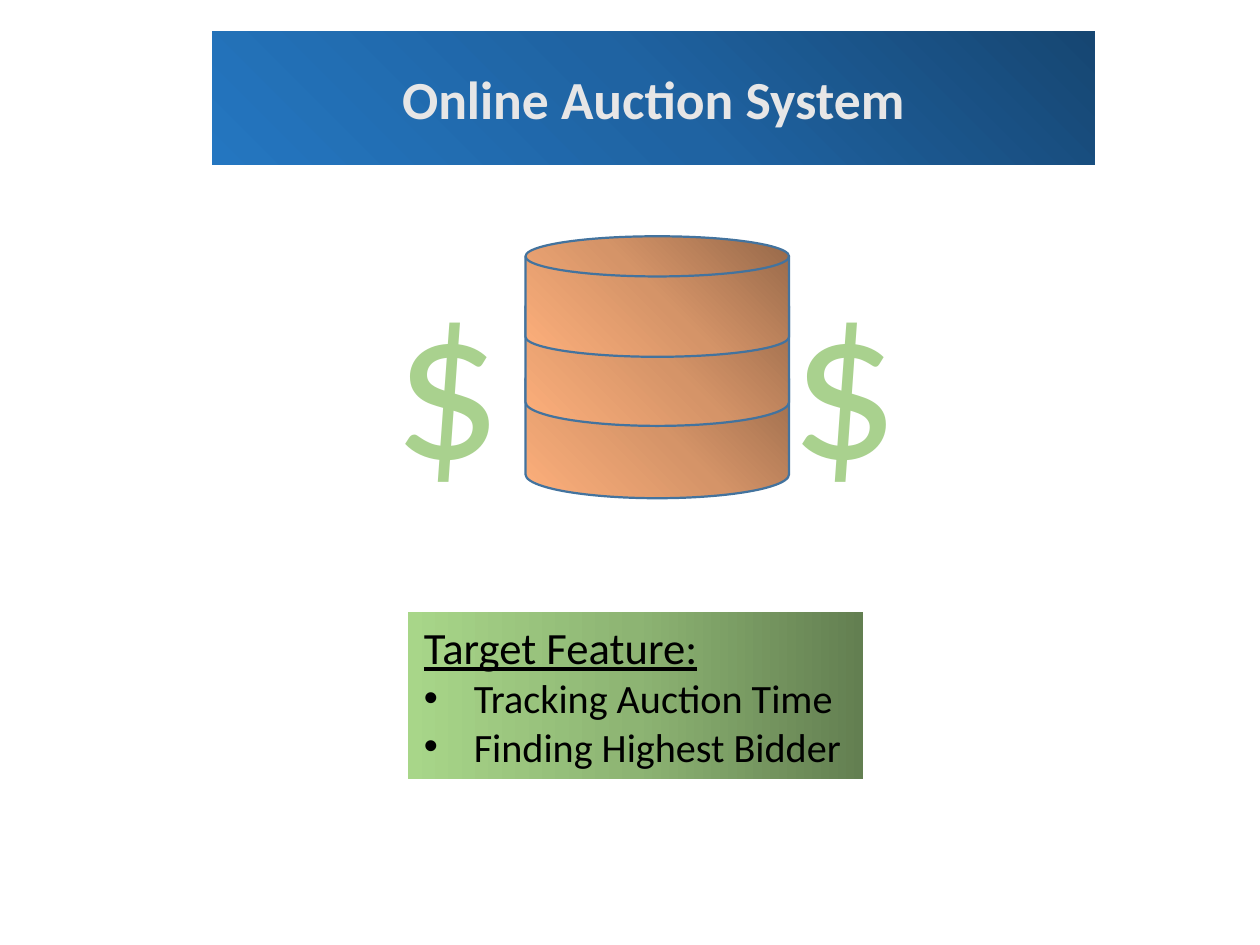
from lxml.etree import SubElement
from pptx import Presentation
from pptx.dml.color import RGBColor
from pptx.enum.shapes import MSO_SHAPE
from pptx.enum.text import MSO_ANCHOR, MSO_AUTO_SIZE, PP_ALIGN
from pptx.oxml.ns import qn
from pptx.util import Inches, Pt

COLORS = {
    "title": "E7E6E6",
    "edge": "43739E",
    "dollar": "A9D18E",
    "text": "000000",
}
BLUE = ["164672", "1F63A2", "2476C0"]
ORANGE = ["966849", "D59468", "FDAF7B"]
GREEN = ["637F51", "8DB473", "A8D689"]


def shade(shape, tones, angle=None):
    """Fill with three even stops, linear at angle or else round from the top right."""
    shape.fill.gradient()
    grad = shape._element.spPr.find(qn("a:gradFill"))
    grad.clear()
    grad.set("rotWithShape", "1")
    stops = SubElement(grad, qn("a:gsLst"))
    for i, tone in enumerate(tones):
        stop = SubElement(stops, qn("a:gs"), pos=str(i * 50000))
        SubElement(stop, qn("a:srgbClr"), val=tone)
    if angle is None:
        round_fill = SubElement(grad, qn("a:path"), path="circle")
        SubElement(round_fill, qn("a:fillToRect"), l="100000", b="100000")
    else:
        SubElement(grad, qn("a:lin"), ang=str(angle * 60000), scaled="0")


def write(para, text, size, color="text", bold=False, under=False,
          align=PP_ALIGN.LEFT, bullet=False):
    para.alignment = align
    if bullet:
        props = para._p.get_or_add_pPr()
        indent = Inches(0.31)
        props.set("marL", str(indent))
        props.set("indent", str(-indent))
        SubElement(props, qn("a:buFont"), typeface="Arial")
        SubElement(props, qn("a:buChar"), char="•")
    run = para.add_run()
    run.text = text
    font = run.font
    font.name = "Calibri"
    font.size = Pt(size)
    font.bold = bold
    font.underline = under
    font.color.rgb = RGBColor.from_string(COLORS[color])


deck = Presentation()
deck.slide_width, deck.slide_height = Inches(7.84), Inches(5.88)
slide = deck.slides.add_slide(deck.slide_layouts[5])

# Title banner
title = slide.shapes.title
title.left, title.top = Inches(1.32), Inches(0.36)
title.width, title.height = Inches(5.49), Inches(0.5)
shade(title, BLUE)
title.text_frame.auto_size = MSO_AUTO_SIZE.SHAPE_TO_FIT_TEXT
write(title.text_frame.paragraphs[0], "Online Auction System", 24, "title",
      bold=True, align=PP_ALIGN.CENTER)

# Database stack between two dollar signs
store = slide.shapes.add_group_shape().shapes
for top, height in [(2.21, 0.89), (1.76, 0.89), (1.47, 0.75)]:
    disk = store.add_shape(MSO_SHAPE.FLOWCHART_MAGNETIC_DISK, Inches(3.27),
                           Inches(top), Inches(1.64), Inches(height))
    disk.shadow.inherit = False
    shade(disk, ORANGE, 135)
    disk.line.color.rgb = RGBColor.from_string(COLORS["edge"])
    disk.line.width = Pt(1)

for left, width in [(2.35, 0.78), (4.82, 1.31)]:
    box = store.add_textbox(Inches(left), Inches(1.47), Inches(width), Inches(1.64))
    box.text_frame.word_wrap = True
    box.text_frame.auto_size = MSO_AUTO_SIZE.SHAPE_TO_FIT_TEXT
    write(box.text_frame.paragraphs[0], "$", 96, "dollar")

# Target features
panel = slide.shapes.add_shape(MSO_SHAPE.RECTANGLE, Inches(2.54), Inches(3.81),
                               Inches(2.83), Inches(1.04))
panel.shadow.inherit = False
panel.line.fill.background()
shade(panel, GREEN, 180)
frame = panel.text_frame
frame.word_wrap = False
frame.auto_size = MSO_AUTO_SIZE.SHAPE_TO_FIT_TEXT
frame.vertical_anchor = MSO_ANCHOR.TOP
write(frame.paragraphs[0], "Target Feature:", 20, under=True)
for item in ["Tracking Auction Time", "Finding Highest Bidder"]:
    write(frame.add_paragraph(), item, 18, bullet=True)

deck.save("out.pptx")
